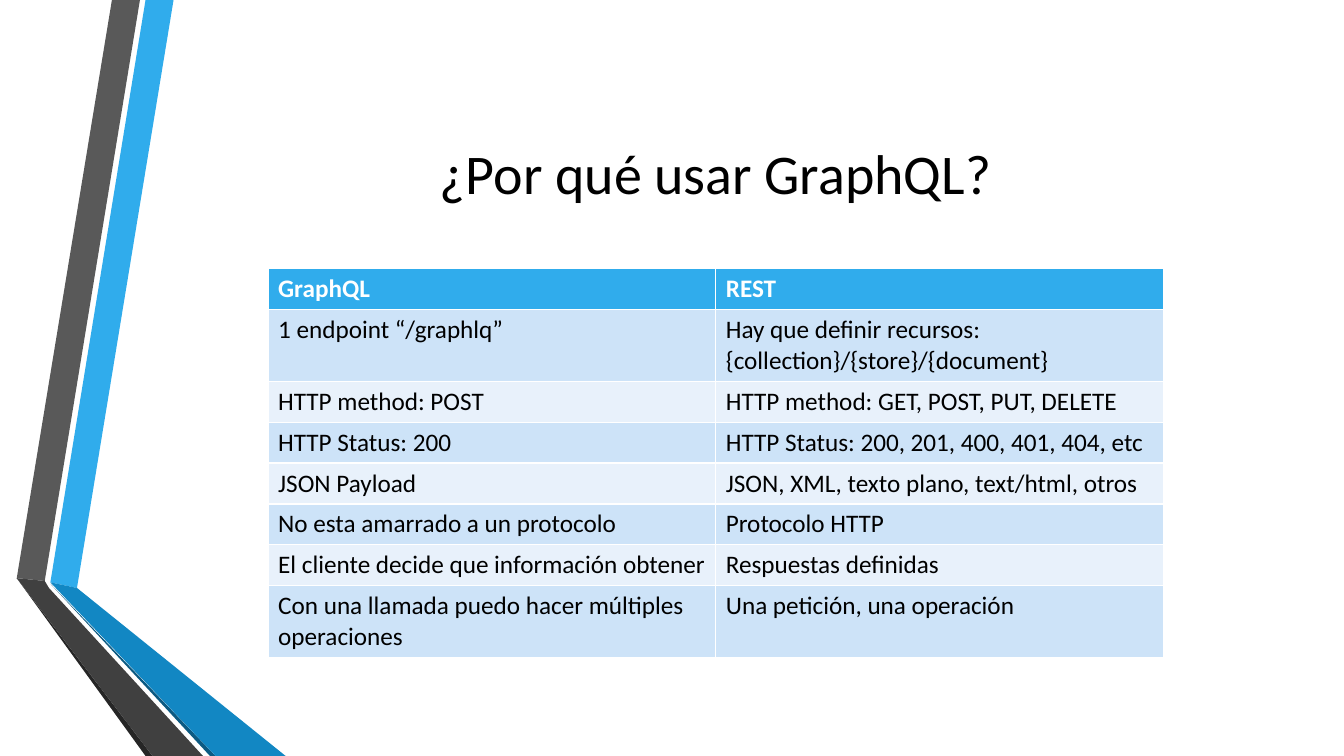
"""Build the slide comparing GraphQL with REST."""
from pptx import Presentation
from pptx.dml.color import RGBColor
from pptx.enum.text import MSO_ANCHOR, PP_ALIGN
from pptx.util import Pt

TITLE = "¿Por qué usar GraphQL?"
ROWS = [
    ("GraphQL", "REST"),
    ("1 endpoint “/graphlq”", "Hay que definir recursos: {collection}/{store}/{document}"),
    ("HTTP method: POST", "HTTP method: GET, POST, PUT, DELETE"),
    ("HTTP Status: 200", "HTTP Status: 200, 201, 400, 401, 404, etc"),
    ("JSON Payload", "JSON, XML, texto plano, text/html, otros"),
    ("No esta amarrado a un protocolo", "Protocolo HTTP"),
    ("El cliente decide que información obtener", "Respuestas definidas"),
    ("Con una llamada puedo hacer múltiples operaciones", "Una petición, una operación"),
]
RIBBONS = [
    ("30ACEC", [(36, 416.2), (55.4, 419.8), (124.5, 0), (104.4, 0)]),
    ("595959", [(100, 0), (80, 0), (11.5, 412.6), (31.7, 415.4)]),
    ("262626", [(11.5, 412.6), (104.4, 540), (108.7, 540)]),
    ("0C5A82", [(36, 416.9), (149.8, 540), (154.1, 540)]),
    ("1287C3", [(36, 416.2), (154.1, 540), (203.8, 540), (55.4, 419.8)]),
    ("404040", [(145.4, 540), (34.6, 419.8), (31.7, 415.4), (11.5, 412.6), (108.7, 540)]),
]
FONT = "Calibri"
HEADER, BANDS = "30ACEC", ("E8F1FB", "CDE3F8")
LEFT, TOP, COL_W, ROW_H = 191.5, 192, 319.8, 29.2


def paint(fill, color):
    fill.solid()
    fill.fore_color.rgb = RGBColor.from_string(color)


def style(p, size, color, bold=False):
    p.font.name, p.font.size, p.font.bold = FONT, Pt(size), bold
    paint(p.font.fill, color)


def add_ribbon(slide, color, points):
    builder = slide.shapes.build_freeform(*points[0], scale=Pt(1))
    builder.add_line_segments(points[1:], close=True)
    sp = builder.convert_to_shape()
    sp.shadow.inherit = False
    sp.line.fill.background()
    paint(sp.fill, color)


def add_title(slide):
    sp = slide.shapes.title
    sp.left, sp.top, sp.width, sp.height = Pt(116.6), Pt(54), Pt(789), Pt(138)
    tf = sp.text_frame
    tf.text = TITLE
    tf.vertical_anchor = MSO_ANCHOR.MIDDLE
    p = tf.paragraphs[0]
    p.alignment = PP_ALIGN.CENTER
    style(p, 40, "000000")


def add_comparison(slide):
    n_rows, n_cols = len(ROWS), len(ROWS[0])
    table = slide.shapes.add_table(n_rows, n_cols, Pt(LEFT), Pt(TOP),
                                   Pt(COL_W * n_cols), Pt(ROW_H * n_rows)).table
    for i, row in enumerate(ROWS):
        for j, text in enumerate(row):
            cell = table.cell(i, j)
            cell.text = text
            paint(cell.fill, BANDS[i % 2] if i else HEADER)
            style(cell.text_frame.paragraphs[0], 18, "000000" if i else "FFFFFF", bold=i == 0)


def main():
    prs = Presentation()
    prs.slide_width, prs.slide_height = Pt(960), Pt(540)
    slide = prs.slides.add_slide(prs.slide_layouts[5])
    for color, points in RIBBONS:
        add_ribbon(slide, color, points)
    add_title(slide)
    add_comparison(slide)
    prs.save("out.pptx")


if __name__ == "__main__":
    main()
